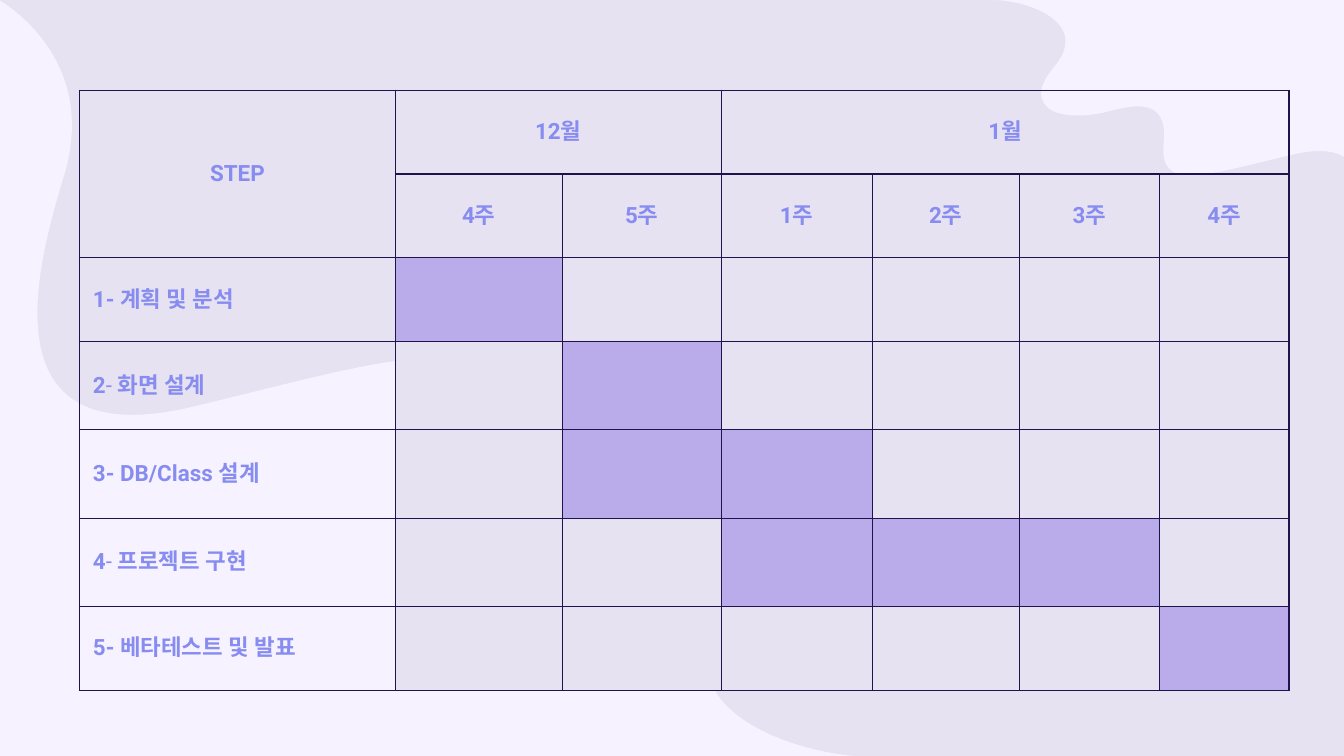
from lxml import etree
from pptx import Presentation
from pptx.dml.color import RGBColor
from pptx.enum.text import MSO_ANCHOR, PP_ALIGN
from pptx.oxml.ns import qn
from pptx.util import Pt

CENTER, LEFT = PP_ALIGN.CENTER, PP_ALIGN.LEFT
MIDDLE = MSO_ANCHOR.MIDDLE

LAVENDER, PALE = "E7E2F2", "F6F2FF"
BAR, INK, GRID = "BAABEB", "878CF0", "20124D"

COLUMN_WIDTHS = [169.2, 89.4, 85.2, 80.9, 78.8, 75, 69.6]
ROW_HEIGHTS = [44.9, 44.9, 44.9, 47.3, 47.3, 47.3, 44.9]

MONTHS = [("12월", 1, 2), ("1월", 3, 6)]
WEEKS = ["4주", "5주", "1주", "2주", "3주", "4주"]

# Each step: its text as (words, bold) runs, first and last busy column
STEPS = [
    ([("1- 계획 및 분석", True)], 1, 1),
    ([("2", True), ("- ", False), ("화면 설계", True)], 2, 2),
    ([("3- DB/Class 설계", True)], 2, 3),
    ([("4", True), ("- ", False), ("프로젝트 구현", True)], 3, 5),
    ([("5- 베타테스트 및 발표", True)], 6, 6),
]

# Each wave: start, Bezier curves (two handles and an end), closing corners
TOP_WAVE = ((722.9, 136.1), [
    ((730.1, 114.5), (740.9, 71.3), (692.6, 82.8)),
    ((643.7, 94.3), (620.6, 103), (623.5, 76.3)),
    ((625.7, 51.8), (607.7, 56.2), (593.3, 59.8)),
    ((582.5, 62.6), (563, 64.1), (558.7, 54)),
    ((556.6, 49.7), (558, 43.9), (565.2, 35.3)),
    ((584.6, 11.5), (549.4, 0), (532.1, 0)),
    ((532.1, 0), (738, 0), (738, 0)),
    ((738, 0), (738, 178.6), (738, 178.6)),
    ((738, 178.6), (714.2, 165.6), (722.9, 136.1)),
])
LEFT_WAVE = ((33.8, 95.8), [
    ((18.7, 145.4), (-6.5, 243.4), (102.2, 218.2)),
    ((213.8, 191.5), (266.4, 171.4), (259.9, 231.8)),
    ((253.4, 287.3), (295.2, 277.2), (326.9, 269.3)),
    ((352.8, 262.1), (396.7, 259.2), (406.8, 283)),
    ((410.4, 292.3), (407.5, 306), (391.7, 324.7)),
    ((347.8, 378.7), (427, 405.4), (466.6, 405.4)),
    ((466.6, 405.4), (-0.7, 405.4), (-0.7, 405.4)),
    ((-0.7, 405.4), (-0.7, 0), (-0.7, 0)),
    ((-0.7, 0), (54.7, 30.2), (33.8, 95.8)),
])


def color(code):
    return RGBColor.from_string(code)


def paint(fill, code):
    fill.solid()
    fill.fore_color.rgb = color(code)


def add_wave(slide, start, curves):
    outline = slide.shapes.build_freeform(Pt(start[0]), Pt(start[1]))
    outline.add_line_segments(
        [(Pt(x), Pt(y)) for _, _, (x, y) in curves], close=True)
    wave = outline.convert_to_shape()
    wave.shadow.inherit = False
    paint(wave.fill, PALE)
    wave.line.fill.background()

    # Bend each straight segment into its Bezier curve
    segments = list(wave._element.iter(qn("a:lnTo")))
    for segment, points in zip(segments, curves):
        segment.tag = qn("a:cubicBezTo")
        for old_point in list(segment):
            segment.remove(old_point)
        for x, y in points:
            etree.SubElement(segment, qn("a:pt"), x=str(Pt(x) - wave.left),
                             y=str(Pt(y) - wave.top))


def style_cell(cell, fill=None):
    properties = cell._tc.get_or_add_tcPr()
    for side in ("a:lnL", "a:lnR", "a:lnT", "a:lnB"):
        border = etree.SubElement(properties, qn(side), w=str(Pt(0.75)))
        solid = etree.SubElement(border, qn("a:solidFill"))
        etree.SubElement(solid, qn("a:srgbClr"), val=GRID)
    if fill:
        paint(cell.fill, fill)
    else:
        cell.fill.background()


def write(cell, runs, align=CENTER, inset=7.2, size=12, font="Roboto", ink=INK):
    cell.vertical_anchor = MIDDLE
    cell.margin_left = cell.margin_right = Pt(inset)
    cell.margin_top = cell.margin_bottom = Pt(inset)
    paragraph = cell.text_frame.paragraphs[0]
    paragraph.alignment = align
    for words, bold in runs:
        run = paragraph.add_run()
        run.text = words
        run.font.name = font
        run.font.size = Pt(size)
        run.font.bold = bold
        run.font.color.rgb = color(ink)
        for script in ("a:ea", "a:cs"):
            etree.SubElement(run.font._element, qn(script), typeface=font)


def add_schedule(slide, left, top):
    table = slide.shapes.add_table(
        len(ROW_HEIGHTS), len(COLUMN_WIDTHS), Pt(left), Pt(top),
        Pt(sum(COLUMN_WIDTHS)), Pt(sum(ROW_HEIGHTS))).table
    table.first_row = table.horz_banding = False
    for column, width in zip(table.columns, COLUMN_WIDTHS):
        column.width = Pt(width)
    for row, height in zip(table.rows, ROW_HEIGHTS):
        row.height = Pt(height)

    # Grid lines and busy weeks
    for r in range(len(ROW_HEIGHTS)):
        for c in range(len(COLUMN_WIDTHS)):
            fill = None
            if r >= 2 and c >= 1:
                _, first, last = STEPS[r - 2]
                fill = BAR if first <= c <= last else LAVENDER
            style_cell(table.cell(r, c), fill)

    # Headings
    table.cell(0, 0).merge(table.cell(1, 0))
    write(table.cell(0, 0), [("STEP", True)])
    for month, first, last in MONTHS:
        table.cell(0, first).merge(table.cell(0, last))
        write(table.cell(0, first), [(month, True)])
    for c, week in enumerate(WEEKS, start=1):
        write(table.cell(1, c), [(week, True)], inset=7.2 if c <= 2 else 0.7)

    # Step names
    for r, (runs, _, _) in enumerate(STEPS, start=2):
        write(table.cell(r, 0), runs, align=LEFT)


def main():
    presentation = Presentation()
    presentation.slide_width, presentation.slide_height = Pt(720), Pt(405)
    slide = presentation.slides.add_slide(presentation.slide_layouts[6])

    # Backdrop
    paint(slide.background.fill, LAVENDER)
    for wave in (TOP_WAVE, LEFT_WAVE):
        add_wave(slide, *wave)

    add_schedule(slide, left=42.6, top=48.4)
    presentation.save("out.pptx")


if __name__ == "__main__":
    main()
